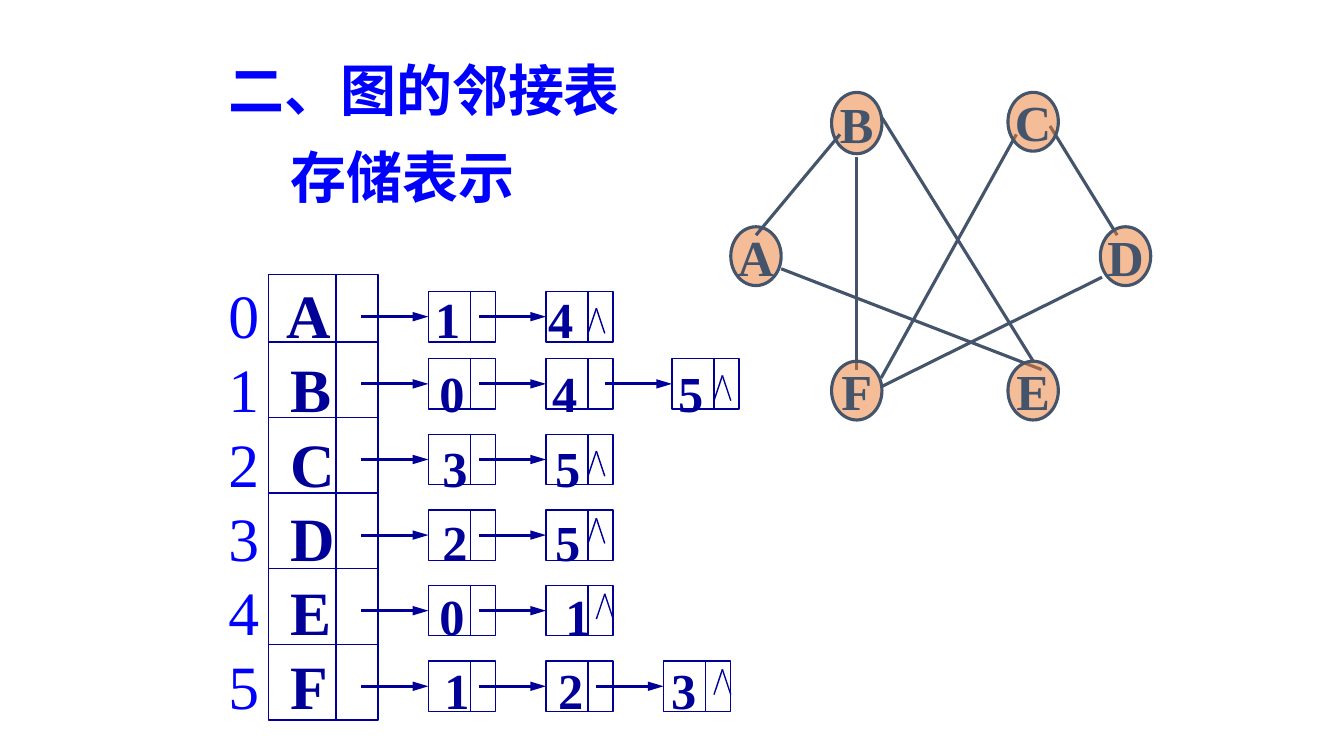
from pptx import Presentation
from pptx.dml.color import RGBColor
from pptx.enum.shapes import MSO_CONNECTOR, MSO_SHAPE
from pptx.enum.text import MSO_ANCHOR, PP_ALIGN
from pptx.oxml.ns import qn
from pptx.util import Inches, Pt
from lxml.etree import SubElement

COLUMNS, ROWS = 160, 90
UNIT = Inches(1 / 12)
BLUE, NAVY, SLATE, ORANGE = "0000FF", "000099", "44546A", "ED7D31"

INDEX = dict(size=Pt(44), bold=False, color=BLUE)
VERTEX = dict(size=Pt(44), bold=True, color=NAVY)
NEIGHBOUR = dict(size=Pt(36), bold=True, color=NAVY)
TITLE = dict(size=Pt(40), bold=True, color=BLUE)
LABEL = dict(size=Pt(36), bold=True, color=SLATE)

ADJACENCY = [
    ("A", "14", (4.32, 5.44), (51, 65), (6, 2)),
    ("B", "045", (4.36, 5.48, 6.73), (51, 65, 80), (6, 2)),
    ("C", "35", (4.39, 5.51), (51, 65), (6, 2)),
    ("D", "25", (4.39, 5.51), (51, 65), (6, 1)),
    ("E", "01", (4.36, 5.61), (51, 65), (7, 1)),
    ("F", "123", (4.41, 5.54, 6.66), (51, 65, 79), (7, 1)),
]
BACK_NODES = [("B", 12, 0, 7.3), ("A", 0, 16, 7)]
FRONT_NODES = [("C", 33, 0, 7), ("D", 44, 16, 7), ("F", 12, 32, 7), ("E", 33, 32, 7)]
EDGES = [
    (13, 5, 3, 17), (18, 3, 36, 32), (6, 21, 37, 33), (34, 5, 17.9, 34),
    (38, 4, 46, 17), (44.2, 22, 18, 35), (15, 7.7, 15, 33),
]


def rgb(color):
    return RGBColor.from_string(color)


def grid(*lengths):
    return [round(length * UNIT) for length in lengths]


def style(font, look):
    font.name = "Times New Roman"
    for key, value in look.items():
        if key == "color":
            font.color.rgb = rgb(value)
        else:
            setattr(font, key, value)


def write(paragraph, words, look):
    run = paragraph.add_run()
    run.text = words
    style(run.font, look)


def draw_line(slide, x1, y1, x2, y2, color=NAVY, width=1, arrow=False):
    line = slide.shapes.add_connector(MSO_CONNECTOR.STRAIGHT, *grid(x1, y1, x2, y2))
    line.line.color.rgb = rgb(color)
    line.line.width = Pt(width)
    if arrow:
        SubElement(line.line._get_or_add_ln(), qn("a:tailEnd"),
                   type="triangle", w="med", len="lg")
    SubElement(line._element.spPr, qn("a:effectLst"))


def draw_shape(slide, kind, x, y, width, height, color=NAVY, weight=1):
    shape = slide.shapes.add_shape(kind, *grid(x, y, width, height))
    shape.shadow.inherit = False
    shape.fill.background()
    shape.line.color.rgb = rgb(color)
    shape.line.width = Pt(weight)
    return shape


def add_text(slide, x, y, width, height):
    frame = slide.shapes.add_textbox(*grid(x, y, width, height)).text_frame
    frame.word_wrap = True
    return frame


def lines_of(frame, count):
    return [frame.paragraphs[0]] + [frame.add_paragraph() for _ in range(count - 1)]


def add_title(slide, x, y, width, height):
    frame = add_text(slide, x, y, width, height)
    headings = [("二、图的邻接表", 0), ("存储表示", 0.62)]
    for paragraph, (words, indent) in zip(lines_of(frame, len(headings)), headings):
        paragraph.line_spacing = 1.3
        paragraph._p.get_or_add_pPr().set("marL", str(Inches(indent)))
        write(paragraph, words, TITLE)


def add_list_text(slide, x, y, width, height):
    frame = add_text(slide, x, y, width, height)
    frame.margin_top = Inches(0.08)
    text_left = round(x * UNIT) + frame.margin_left
    rows = zip(lines_of(frame, len(ADJACENCY)), ADJACENCY)
    for index, (paragraph, (vertex, neighbours, starts, _, _)) in enumerate(rows):
        paragraph.line_spacing = Pt(53)
        vertex_start = 2.84 if vertex == "A" else 2.88
        tabs = SubElement(paragraph._p.get_or_add_pPr(), qn("a:tabLst"))
        for start in (vertex_start, *starts):
            SubElement(tabs, qn("a:tab"), pos=str(Inches(start) - text_left), algn="l")
        write(paragraph, str(index), INDEX)
        write(paragraph, f"\t{vertex}", VERTEX)
        for neighbour in neighbours:
            write(paragraph, f"\t{neighbour}", NEIGHBOUR)


def add_chain(slide, y, lefts, end_mark):
    for left in lefts:
        draw_shape(slide, MSO_SHAPE.RECTANGLE, left, y, 8, 6)
        draw_line(slide, left + 5, y, left + 5, y + 6)
        draw_line(slide, left - 8, y + 3, left, y + 3, width=2.25, arrow=True)
    peak_x, peak_y = lefts[-1] + end_mark[0], y + end_mark[1]
    for side in (-1, 1):
        draw_line(slide, peak_x, peak_y, peak_x + side, peak_y + 3)


def add_adjacency_list(slide, x, y, width, height):
    add_list_text(slide, x - 6, y - 0.7, 65, 54.5)
    draw_shape(slide, MSO_SHAPE.RECTANGLE, x, y, width, height)
    for row in range(len(ADJACENCY) - 1):
        draw_line(slide, x, y + 8 + 9 * row, x + width, y + 8 + 9 * row)
    draw_line(slide, x + 8, y, x + 8, y + height)
    for row, (_, _, _, lefts, end_mark) in enumerate(ADJACENCY):
        add_chain(slide, y + (1 + 9 * row if row else 2), lefts, end_mark)


def add_node(slide, letter, x, y, height):
    node = draw_shape(slide, MSO_SHAPE.OVAL, x, y, 6, height, SLATE, 2.25)
    node.fill.solid()
    node.fill.fore_color.rgb = rgb(ORANGE)
    color = node._element.spPr.find(qn("a:solidFill"))[0]
    SubElement(color, qn("a:alpha"), val="50000")
    frame = node.text_frame
    frame.word_wrap = False
    frame.vertical_anchor = MSO_ANCHOR.MIDDLE
    frame.paragraphs[0].alignment = PP_ALIGN.CENTER
    write(frame.paragraphs[0], letter, LABEL)


def add_graph(slide, x, y):
    for letter, dx, dy, height in BACK_NODES:
        add_node(slide, letter, x + dx, y + dy, height)
    for x1, y1, x2, y2 in EDGES:
        draw_line(slide, x + x1, y + y1, x + x2, y + y2, SLATE, 2.25)
    for letter, dx, dy, height in FRONT_NODES:
        add_node(slide, letter, x + dx, y + dy, height)


def main():
    deck = Presentation()
    deck.slide_width, deck.slide_height = grid(COLUMNS, ROWS)
    slide = deck.slides.add_slide(deck.slide_layouts[6])
    add_adjacency_list(slide, 32, 32.7, 13, 53)
    add_graph(slide, 87, 11)
    add_title(slide, 26, 3.6, 52, 22)
    deck.save("out.pptx")


if __name__ == "__main__":
    main()
